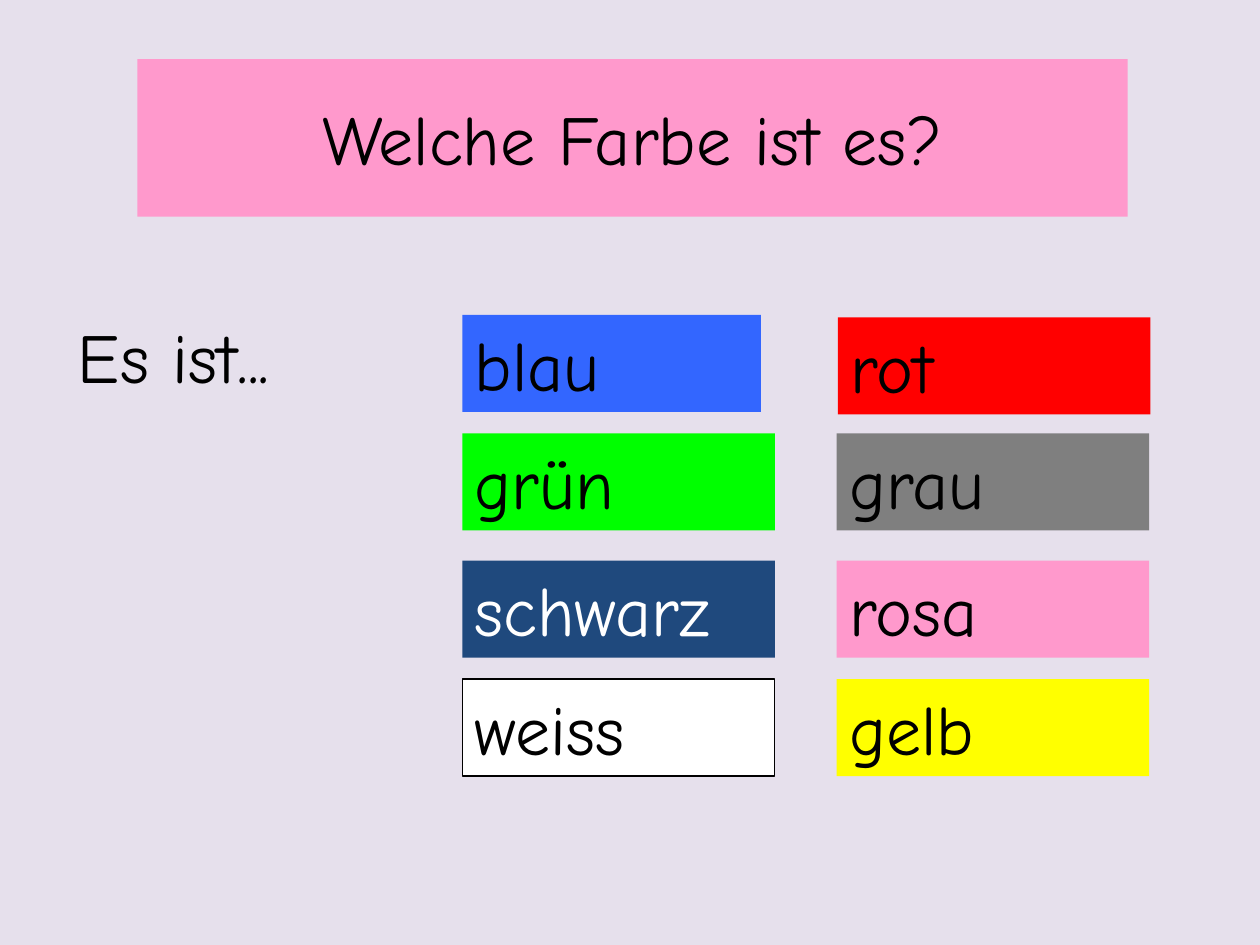
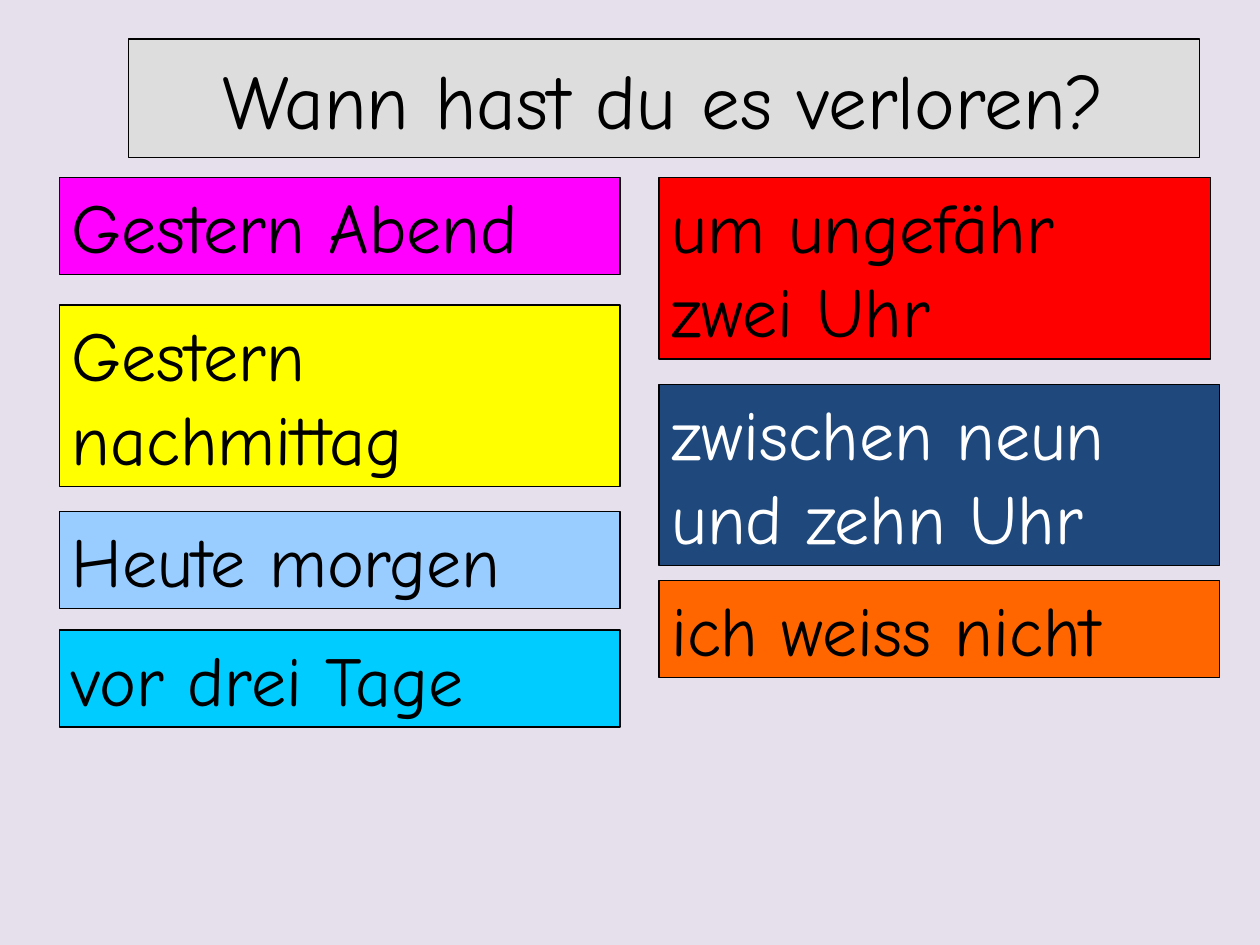
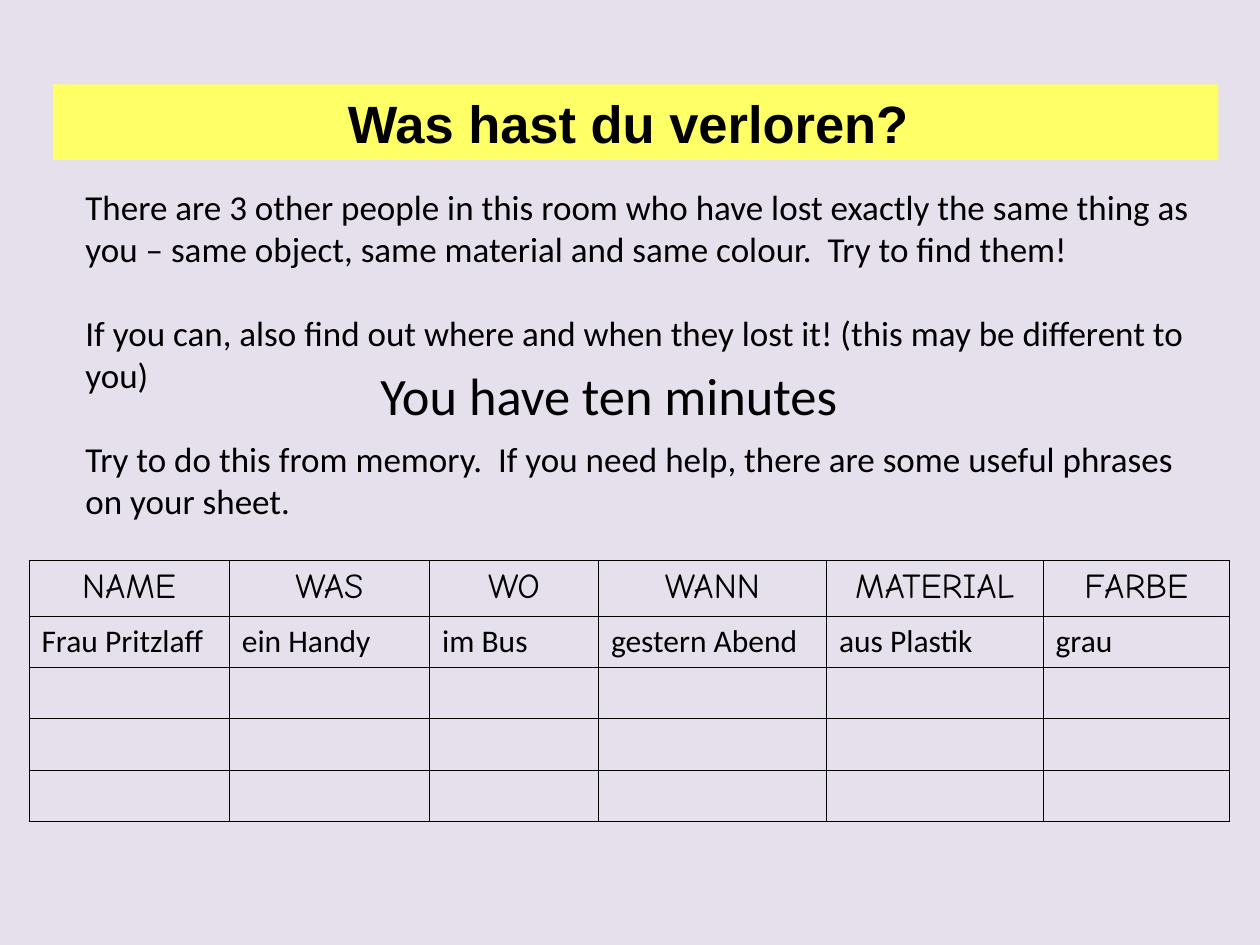
from lxml import etree
from pptx import Presentation
from pptx.dml.color import RGBColor
from pptx.enum import shapes, text
from pptx.oxml import ns
from pptx.util import Inches, Pt

HAND, PLAIN, HEADING = "Comic Neue", "Calibri", "Arial"
BLACK, WHITE, NAVY, RED = "000000", "FFFFFF", "1F497D", "FF0000"
PINK, YELLOW, LILAC = "FF99CC", "FFFF00", "E6E0EC"
LEFT, CENTER = text.PP_ALIGN.LEFT, text.PP_ALIGN.CENTER
TOP, MIDDLE = text.MSO_ANCHOR.TOP, text.MSO_ANCHOR.MIDDLE


def rgb(hex_code):
    return RGBColor.from_string(hex_code)


def write(holder, words, size=40, font=HAND, colour=BLACK, bold=False,
          align=LEFT, anchor=TOP, gap=0, fill=None, line=None):
    """Put words, one paragraph a line, in a shape or cell and format both."""
    frame = holder.text_frame
    frame.word_wrap = True
    frame.auto_size = text.MSO_AUTO_SIZE.NONE
    frame.vertical_anchor = anchor
    frame.text = words
    for number, paragraph in enumerate(frame.paragraphs):
        paragraph.alignment = align
        paragraph.space_before = Pt(gap if number else 0)
        paragraph.font.size = Pt(size)
        paragraph.font.name = font
        paragraph.font.bold = bold
        paragraph.font.color.rgb = rgb(colour)
    if fill:
        holder.fill.solid()
        holder.fill.fore_color.rgb = rgb(fill)
    if line:
        holder.line.color.rgb = rgb(line)
        holder.line.width = Pt(0.75)


prs = Presentation()
prs.slide_width, prs.slide_height = Inches(10), Inches(7.5)
backdrop = prs.slide_master.background.fill
backdrop.solid()
backdrop.fore_color.rgb = rgb(LILAC)

# Titles: words, place, format
titles = [
    ("Welche Farbe ist es?", (1.09, 0.47, 7.86, 1.25), dict(fill=PINK)),
    ("Wann hast du es verloren?", (1.02, 0.31, 8.5, 0.94),
     dict(size=44, fill="DDDDDD", line=BLACK)),
    ("Was hast du verloren? ", (0.42, 0.67, 9.25, 0.6),
     dict(size=30, font=HEADING, bold=True, fill="FFFF66")),
]
slides = []
for words, place, look in titles:
    slide = prs.slides.add_slide(prs.slide_layouts[5])
    title = slide.shapes.title
    title.left, title.top, title.width, title.height = map(Inches, place)
    write(title, words, align=CENTER, anchor=MIDDLE, **look)
    slides.append(slide)
colour_slide, time_slide, task_slide = slides

# Answer cards: slide, words, left, top, width, lines, fill, text colour, outline
cards = [
    (colour_slide, "blau", 3.67, 2.5, 2.37, 1, "3366FF", BLACK, None),
    (colour_slide, "grün", 3.67, 3.44, 2.48, 1, "00FF00", BLACK, None),
    (colour_slide, "schwarz", 3.67, 4.45, 2.48, 1, NAVY, WHITE, None),
    (colour_slide, "weiss", 3.67, 5.39, 2.48, 1, WHITE, BLACK, BLACK),
    (colour_slide, "rot", 6.65, 2.52, 2.48, 1, RED, BLACK, None),
    (colour_slide, "grau", 6.64, 3.44, 2.48, 1, "7F7F7F", BLACK, None),
    (colour_slide, "rosa", 6.64, 4.45, 2.48, 1, PINK, BLACK, None),
    (colour_slide, "gelb", 6.64, 5.39, 2.48, 1, YELLOW, BLACK, None),
    (time_slide, "Gestern Abend", 0.47, 1.41, 4.45, 1, "FF00FF", BLACK, BLACK),
    (time_slide, "Gestern nachmittag", 0.47, 2.42, 4.45, 2, YELLOW, BLACK, BLACK),
    (time_slide, "Heute morgen", 0.47, 4.06, 4.45, 1, "99CCFF", BLACK, BLACK),
    (time_slide, "vor drei Tage", 0.47, 5, 4.45, 1, "00CCFF", BLACK, BLACK),
    (time_slide, "um ungefähr zwei Uhr", 5.23, 1.41, 4.38, 2, RED, BLACK, BLACK),
    (time_slide, "zwischen neun und zehn Uhr", 5.23, 3.05, 4.45, 2, NAVY, WHITE, BLACK),
    (time_slide, "ich weiss nicht", 5.23, 4.61, 4.45, 1, "FF6600", BLACK, BLACK),
]
for slide, words, left, top, width, lines, fill, ink, outline in cards:
    card = slide.shapes.add_shape(
        shapes.MSO_SHAPE.RECTANGLE, Inches(left), Inches(top),
        Inches(width), Inches(0.1 + 0.67 * lines))
    card.shadow.inherit = False
    card.line.fill.background()
    write(card, words, colour=ink, fill=fill, line=outline)

# Results table
headings = ["NAME", "WAS", "WO", "WANN", "MATERIAL", "FARBE"]
example = ["Frau Pritzlaff", "ein Handy", "im Bus", "gestern Abend",
           "aus Plastik", "grau"]
rows = [headings, example] + [[""] * len(headings)] * 3
results = task_slide.shapes.add_table(
    len(rows), len(headings), Inches(0.23), Inches(4.45),
    Inches(9.53), Inches(2.06)).table
results.first_row = results.horz_banding = False
for column, width in zip(results.columns, [1.59, 1.59, 1.34, 1.81, 1.72, 1.48]):
    column.width = Inches(width)
for row, height in zip(results.rows, [0.44, 0.4, 0.41, 0.4, 0.41]):
    row.height = Inches(height)
for r, entries in enumerate(rows):
    look = dict(size=18, font=PLAIN) if r else dict(size=20, align=CENTER)
    for c, entry in enumerate(entries):
        cell = results.cell(r, c)
        cell_format = cell._tc.get_or_add_tcPr()
        for side in ("a:lnL", "a:lnR", "a:lnT", "a:lnB"):
            border = etree.SubElement(cell_format, ns.qn(side), w=str(Pt(0.45)))
            ink = etree.SubElement(border, ns.qn("a:solidFill"))
            etree.SubElement(ink, ns.qn("a:srgbClr"), val=BLACK)
        cell.fill.background()
        frame = cell.text_frame
        write(cell, entry, **look)

# Loose text: slide, place, words, format
instructions = "\n".join([
    "There are 3 other people in this room who have lost exactly the same thing "
    "as you – same object, same material and same colour.  Try to find them!",
    "If you can, also find out where and when they lost it! "
    "(this may be different to you)",
    "Try to do this from memory.  If you need help, there are some useful "
    "phrases on your sheet.",
])
notes = [
    (colour_slide, (0.52, 2.44, 3.35, 0.77), "Es ist...", {}),
    (task_slide, (0.58, 1.42, 9, 3.1), instructions,
     dict(size=20, font=PLAIN, gap=24)),
    (task_slide, (2.92, 2.83, 6.42, 0.6), "You have ten minutes",
     dict(size=30, font=PLAIN)),
]
for slide, place, words, look in notes:
    write(slide.shapes.add_textbox(*map(Inches, place)), words, **look)

prs.save("out.pptx")
